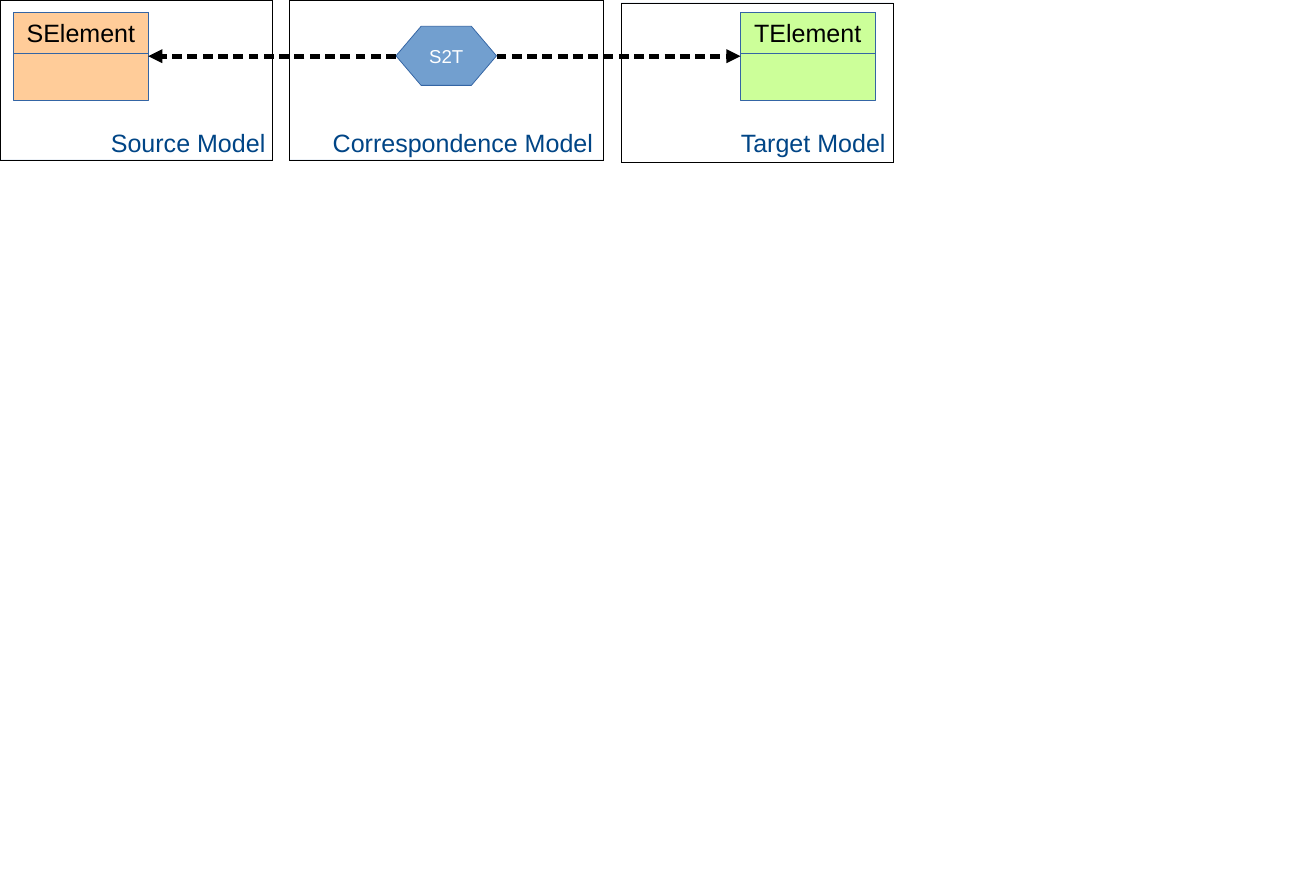
from lxml import etree
from pptx import Presentation
from pptx.dml.color import RGBColor
from pptx.enum.shapes import MSO_CONNECTOR, MSO_SHAPE
from pptx.enum.text import MSO_ANCHOR, PP_ALIGN
from pptx.oxml.ns import qn
from pptx.util import Cm, Pt

RECT, HEX, FRAME = MSO_SHAPE.RECTANGLE, MSO_SHAPE.HEXAGON, MSO_SHAPE.FRAME
LINE = MSO_CONNECTOR.STRAIGHT
LEFT, CENTER = PP_ALIGN.LEFT, PP_ALIGN.CENTER
TOP, MIDDLE = MSO_ANCHOR.TOP, MSO_ANCHOR.MIDDLE

BLACK = RGBColor(0x00, 0x00, 0x00)
WHITE = RGBColor(0xFF, 0xFF, 0xFF)
NAVY = RGBColor(0x00, 0x45, 0x86)
EDGE = RGBColor(0x34, 0x65, 0xA4)
BLUE = RGBColor(0x72, 0x9F, 0xCF)
PEACH = RGBColor(0xFF, 0xCC, 0x99)
LIME = RGBColor(0xCC, 0xFF, 0x99)

# Lengths in centimetres
HEAD = 1.4        # height of an element's name row
LABEL_Y = 4.19    # label top, from the top of the slide
LINK_Y = 1.9

prs = Presentation()
prs.slide_width, prs.slide_height = Cm(44.5), Cm(29.7)
slide = prs.slides.add_slide(prs.slide_layouts[6])
shapes = slide.shapes


def write(shape, text, size=24, color=BLACK, align=CENTER, anchor=MIDDLE,
          wrap=False):
    frame = shape.text_frame
    frame.word_wrap = wrap
    frame.vertical_anchor = anchor
    para = frame.paragraphs[0]
    para.alignment = align
    run = para.add_run()
    run.text = text
    run.font.size = Pt(size)
    run.font.name = "Arial"
    run.font.color.rgb = color


def draw(kind, box, fill, edge=EDGE):
    shape = shapes.add_shape(kind, *map(Cm, box))
    shape.shadow.inherit = False
    shape.fill.solid()
    shape.fill.fore_color.rgb = fill
    shape.line.color.rgb = edge
    shape.line.width = Pt(0)
    return shape


def model(box, label, inset, width):
    """Outlined region with its label."""
    frame = draw(FRAME, box, BLUE, BLACK)
    frame.adjustments[0] = 0
    text = shapes.add_textbox(Cm(box[0] + inset), Cm(LABEL_Y),
                              Cm(width), Cm(1.19))
    write(text, label, color=NAVY, align=LEFT, anchor=TOP, wrap=True)


def element(box, name, fill):
    """Class box with a name row on top."""
    left, top, width, _ = box
    draw(RECT, box, fill)
    write(draw(RECT, (left, top, width, HEAD), fill), name)


def mapping(box, name):
    """Hexagon that ties the two elements together."""
    shape = draw(HEX, box, BLUE)
    shape.adjustments[0] = 0.425
    write(shape, name, size=17.9, color=WHITE)


def link(start, end):
    """Dashed arrow."""
    line = shapes.add_connector(LINE, Cm(start), Cm(LINK_Y),
                                Cm(end), Cm(LINK_Y))
    line.line.color.rgb = BLACK
    line.line.width = Pt(4.5)
    props = line._element.spPr
    stroke = props.find(qn("a:ln"))
    dash = etree.SubElement(stroke, qn("a:custDash"))
    etree.SubElement(dash, qn("a:ds"), d="210000", sp="115000")
    etree.SubElement(stroke, qn("a:tailEnd"), type="triangle")
    etree.SubElement(props, qn("a:effectLst"))


# Elements and their mapping
source = (0.46, 0.41, 4.55, 3)
target = (25.04, 0.41, 4.55, 3)
center = (13.39, 0.89, 3.4, 2)
element(source, "SElement", PEACH)
mapping(center, "S2T")
element(target, "TElement", LIME)

# Model regions
model((0, 0, 9.2, 5.41), "Source Model", 3.5, 6.2)
model((9.8, 0, 10.6, 5.41), "Correspondence Model", 1.2, 9.7)
model((21, 0.1, 9.2, 5.41), "Target Model", 3.8, 6.2)

# Links from the mapping to both elements
link(center[0] + center[2], target[0])
link(center[0], source[0] + source[2])

prs.save("out.pptx")
